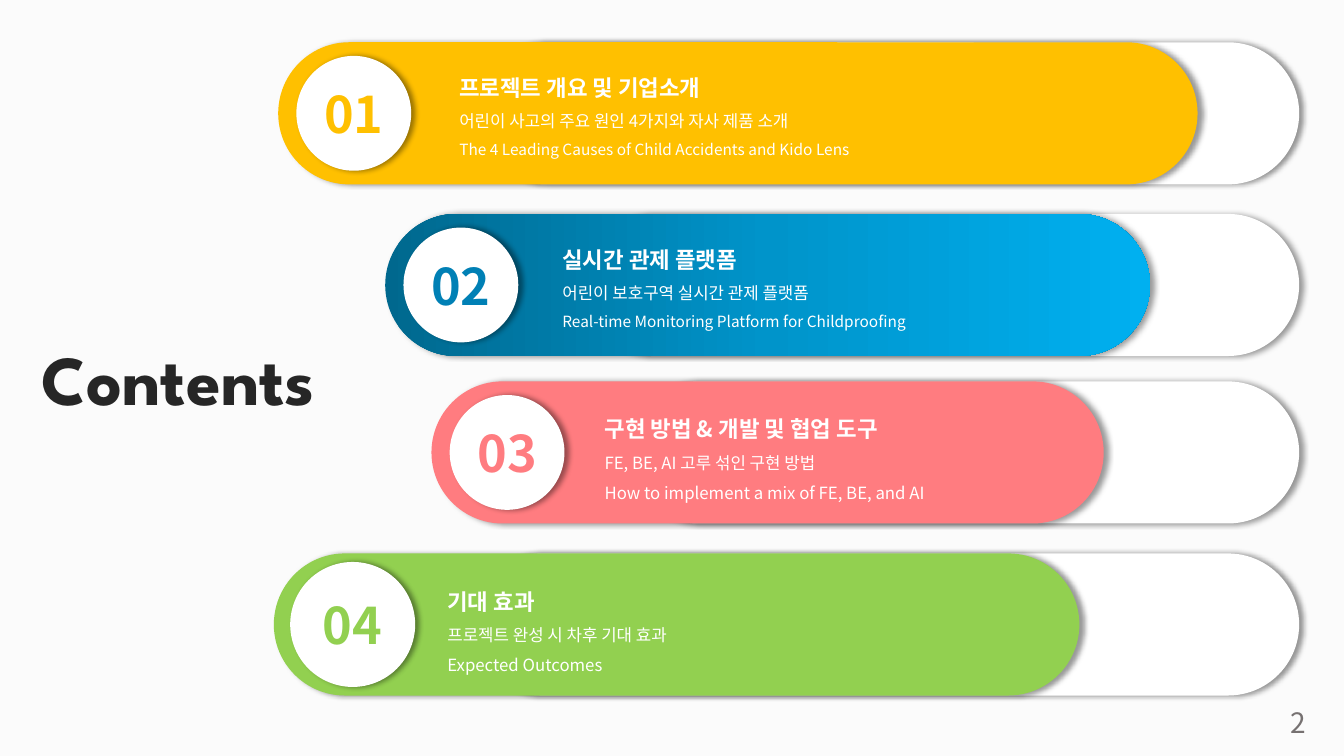
from copy import deepcopy
from lxml import etree
from pptx import Presentation
from pptx.dml import color
from pptx.enum import shapes, text
from pptx.oxml import ns
from pptx.util import Pt

SANS = "Noto Sans CJK KR"
WHITE = "FFFFFF"
BAR_H, BAR_RIGHT, BACK_SHIFT = 101.5, 928, 139.5

SECTIONS = [
    dict(number="01", left=198.7, top=30.2, right=855.4, fill=["FFC000"], ink="FFC000",
         circle=82, inset=13, text=(321, 39.6, 397.4, 75.6), sizes=(16, 12, 11),
         lines=("프로젝트 개요 및 기업소개",
                "어린이 사고의 주요 원인 4가지와 자사 제품 소개",
                "The 4 Leading Causes of Child Accidents and Kido Lens")),
    dict(number="02", left=275.2, top=152.8, right=821.5,
         fill=["00688E", "0094CA", "00B0F0"], ink="0080B5",
         circle=82, inset=13, text=(394.6, 162.6, 324, 75.6), sizes=(16, 12, 11),
         lines=("실시간 관제 플랫폼",
                "어린이 보호구역 실시간 관제 플랫폼",
                "Real-time Monitoring Platform for Childproofing")),
    dict(number="03", left=308.2, top=272.4, right=788.4, fill=["FF7C80"], ink="FF7C80",
         circle=82, inset=13, text=(424.8, 283.7, 324, 77), sizes=(16, 12, 12),
         lines=("구현 방법 & 개발 및 협업 도구",
                "FE, BE, AI 고루 섞인 구현 방법",
                "How to implement a mix of FE, BE, and AI")),
    dict(number="04", left=195.6, top=395.3, right=771, fill=["92D050"], ink="92D050",
         circle=89.3, inset=11.7, text=(312.5, 406.8, 324, 126.7), sizes=(16, 12, 12),
         lines=("기대 효과",
                "프로젝트 완성 시 차후 기대 효과",
                "Expected Outcomes")),
]


def rgb(value):
    return color.RGBColor.from_string(value)


def write(p, words, size, ink, bold=False, font=SANS, **layout):
    for name, value in layout.items():
        setattr(p, name, value)
    r = p.add_run()
    r.text = words
    for name, value in dict(size=Pt(size), bold=bold, name=font).items():
        setattr(r.font, name, value)
    r.font.color.rgb = rgb(ink)


def paint(sp, colors):
    if len(colors) == 1:
        sp.fill.solid()
        sp.fill.fore_color.rgb = rgb(colors[0])
        return
    sp.fill.gradient()
    sp.fill.gradient_angle = 0
    stops = sp._element.spPr.find(".//" + ns.qn("a:gsLst"))
    stops.insert(1, deepcopy(stops[0]))
    for i, (stop, value) in enumerate(zip(sp.fill.gradient_stops, colors)):
        stop.position = i / (len(colors) - 1)
        stop.color.rgb = rgb(value)


def add_shadow(sp):
    sp.shadow.inherit = False
    effects = sp._element.spPr.find(ns.qn("a:effectLst"))
    shadow = etree.SubElement(effects, ns.qn("a:outerShdw"), blurRad=str(Pt(4)),
                              dist=str(Pt(3)), dir="0", algn="l", rotWithShape="0")
    tint = etree.SubElement(shadow, ns.qn("a:srgbClr"), val="000000")
    etree.SubElement(tint, ns.qn("a:alpha"), val="40000")


def add_shape(s, kind, box, colors):
    sp = s.shapes.add_shape(kind, *map(Pt, box))
    paint(sp, colors)
    sp.line.fill.background()
    add_shadow(sp)
    return sp


def add_bar(s, left, right, top, colors):
    sp = add_shape(s, shapes.MSO_SHAPE.ROUNDED_RECTANGLE,
                   (left, top, right - left, BAR_H), colors)
    sp.adjustments[0] = 0.5


def add_text(s, box):
    tf = s.shapes.add_textbox(*map(Pt, box)).text_frame
    tf.word_wrap = True
    return tf


def add_section(s, item):
    left, top, size = item["left"], item["top"], item["circle"]
    add_bar(s, left + BACK_SHIFT, BAR_RIGHT, top, [WHITE])
    add_bar(s, left, item["right"], top, item["fill"])
    circle = add_shape(s, shapes.MSO_SHAPE.OVAL,
                       (left + item["inset"], top + (BAR_H - size) / 2, size, size), [WHITE])
    tf = circle.text_frame
    tf.vertical_anchor = text.MSO_ANCHOR.MIDDLE
    write(tf.paragraphs[0], item["number"], 36, item["ink"], True,
          alignment=text.PP_ALIGN.CENTER)
    tf = add_text(s, item["text"])
    for i, (words, points) in enumerate(zip(item["lines"], item["sizes"])):
        p = tf.add_paragraph() if i else tf.paragraphs[0]
        write(p, words, points, WHITE, i == 0,
              alignment=text.PP_ALIGN.JUSTIFY, line_spacing=1.5)


def main():
    prs = Presentation()
    prs.slide_width, prs.slide_height = Pt(960), Pt(540)
    s = prs.slides.add_slide(prs.slide_layouts[5])
    s.background.fill.solid()
    s.background.fill.fore_color.rgb = rgb("FBFBFB")

    title = s.shapes.title
    box = dict(left=22.3, top=236.2, width=232.6, height=67.7)
    for name, value in box.items():
        setattr(title, name, Pt(value))
    tf = title.text_frame
    frame = dict(word_wrap=True, auto_size=text.MSO_AUTO_SIZE.NONE,
                 vertical_anchor=text.MSO_ANCHOR.TOP)
    for name, value in frame.items():
        setattr(tf, name, value)
    write(tf.paragraphs[0], "Contents", 50, "262626", True, "League Spartan",
          alignment=text.PP_ALIGN.LEFT)

    for item in SECTIONS:
        add_section(s, item)

    tf = add_text(s, (914.4, 500.4, 45.4, 31.7))
    write(tf.paragraphs[0], "2", 20, "767171")
    prs.save("out.pptx")


if __name__ == "__main__":
    main()
